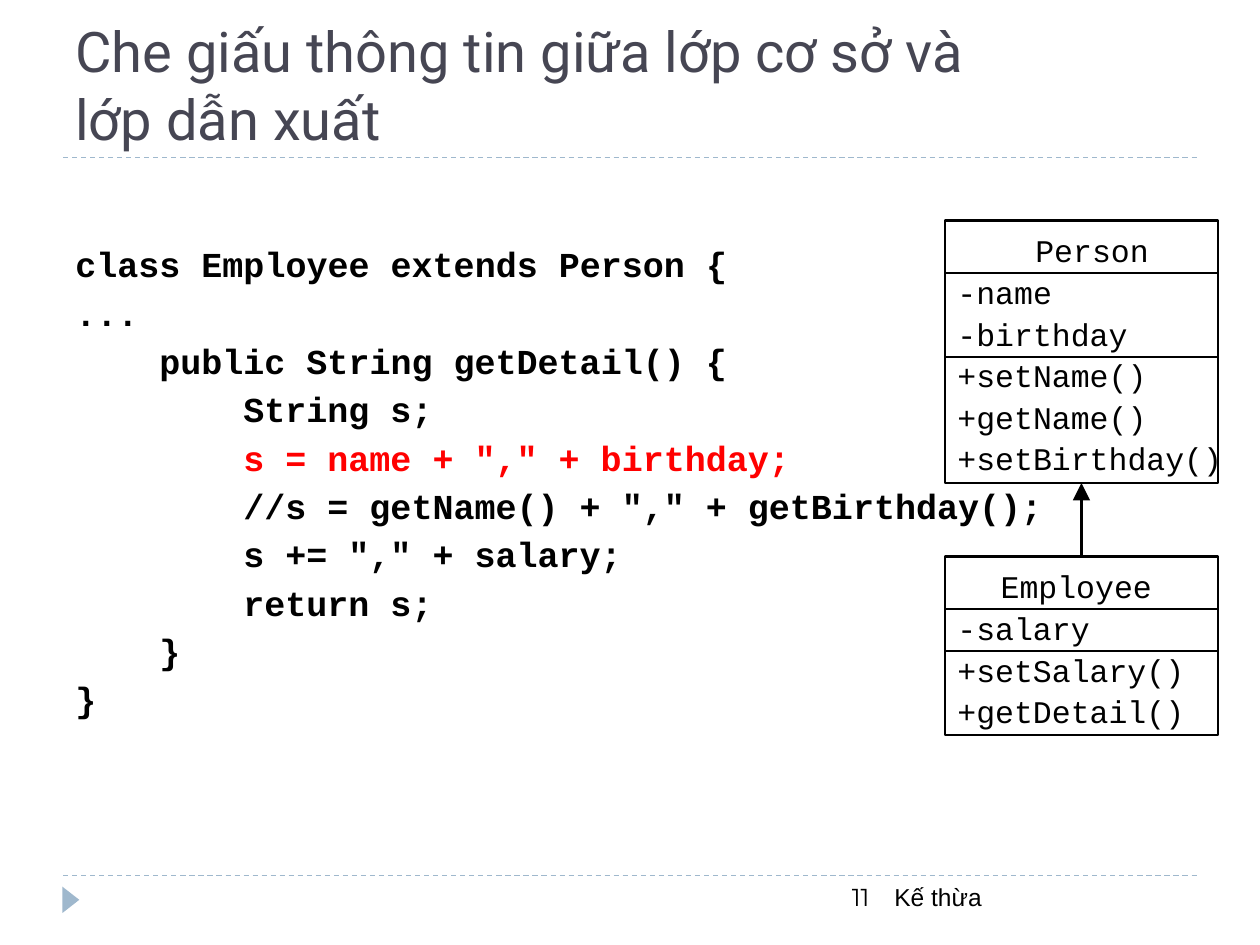
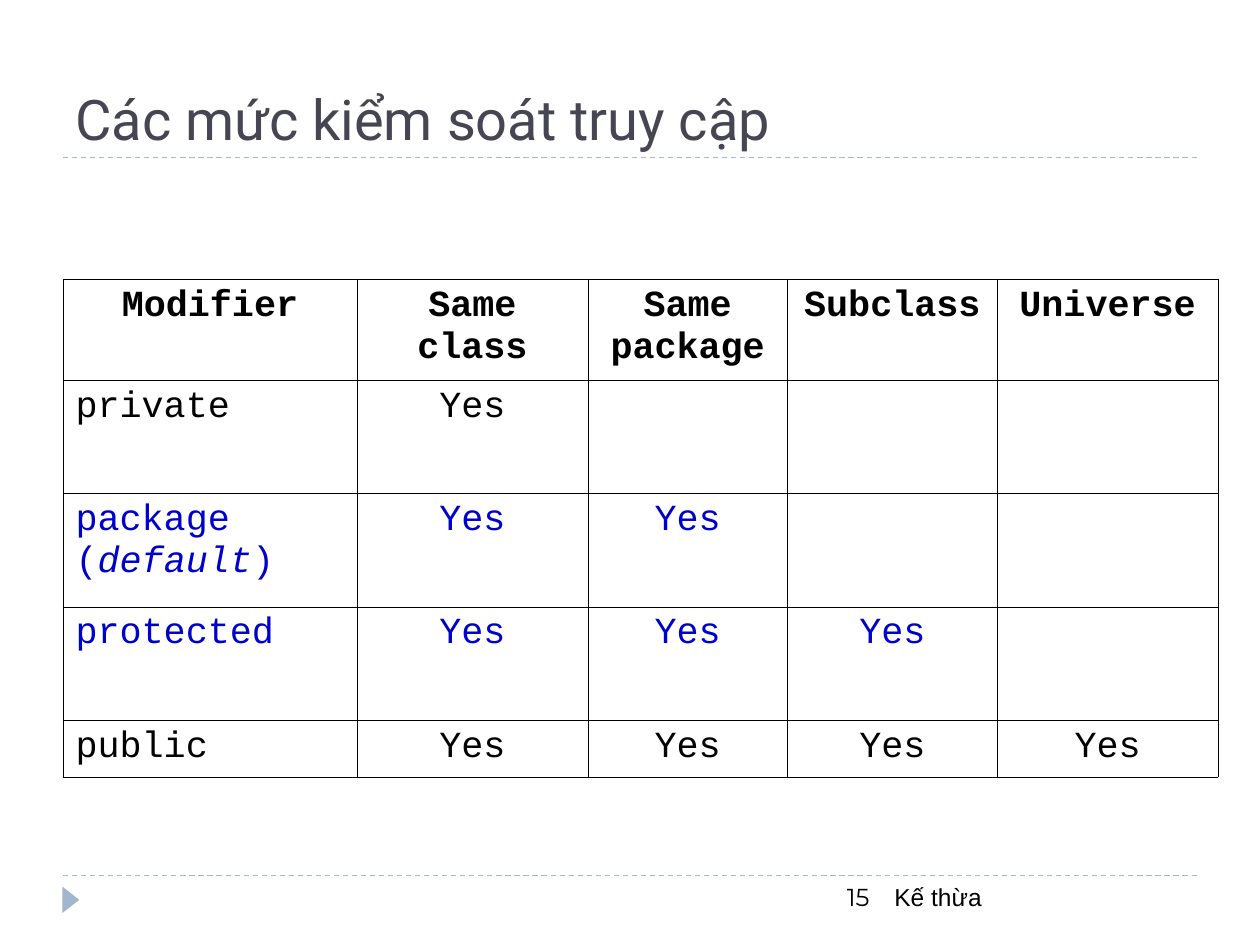
import pptx
import pptx.dml.color
import pptx.enum.dml
import pptx.enum.shapes
import pptx.enum.text
import pptx.oxml
import pptx.oxml.ns
import pptx.util
from dataclasses import dataclass

# Shared grid: 120 columns by 90 rows over a 10 x 7.5 inch slide
WIDTH, HEIGHT = pptx.util.Inches(10), pptx.util.Inches(7.5)
COLS, ROWS = 120, 90
LEFT, CONTENT_COLS = 6, 108

# Shared colours and fonts
BLACK, RED, BLUE = "000000", "FF0000", "0000CC"
TITLE_COLOR, ACCENT = "464653", "9FB8CD"
CODE_FONT, TITLE_FONT = "Courier New", "Roboto"
PAGE_FONT, FOOTER_FONT = "Montserrat", "Arial"

ALIGN = pptx.enum.text.PP_ALIGN
ANCHOR = pptx.enum.text.MSO_ANCHOR
SHAPE = pptx.enum.shapes.MSO_SHAPE


@dataclass
class Box:
    col: float
    row: float
    cols: float
    rows: float

    def emu(self) -> tuple:
        return x(self.col), y(self.row), x(self.cols), y(self.rows)


@dataclass
class CodeLine:
    level: int
    text: str
    color: str = BLACK


@dataclass
class UmlClass:
    name: str
    fields: list
    methods: list
    box: Box
    text_cols: float
    dividers: tuple


@dataclass
class Modifier:
    name: str
    yes_count: int
    color: str = BLACK
    note: str = ""


CODE = [
    CodeLine(0, "class Employee extends Person {"),
    CodeLine(0, "..."),
    CodeLine(1, "public String getDetail() {"),
    CodeLine(2, "String s;"),
    CodeLine(2, 's = name + "," + birthday;', RED),
    CodeLine(2, '//s = getName() + "," + getBirthday();'),
    CodeLine(2, 's += "," + salary;'),
    CodeLine(2, "return s;"),
    CodeLine(1, "}"),
    CodeLine(0, "}"),
]
PERSON = UmlClass("Person", ["-name", "-birthday"],
                  ["+setName()", "+getName()", "+setBirthday()"],
                  Box(90, 21, 26, 25), 28, (26, 34))
EMPLOYEE = UmlClass("Employee", ["-salary"], ["+setSalary()", "+getDetail()"],
                    Box(90, 53, 26, 17), 25, (58, 62))

HEADERS = ["Modifier", "Same class", "Same package", "Subclass", "Universe"]
MODIFIERS = [
    Modifier("private", 1),
    Modifier("package", 2, BLUE, "default"),
    Modifier("protected", 3, BLUE),
    Modifier("public", 4),
]
TABLE_COLS = [28, 22, 19, 20, 21]
TABLE_ROWS = [9.6, 10.8, 10.8, 10.8, 5.4]


# Helpers
def x(cols: float) -> int:
    return round(WIDTH * cols / COLS)


def y(rows: float) -> int:
    return round(HEIGHT * rows / ROWS)


def rgb(color: str) -> pptx.dml.color.RGBColor:
    return pptx.dml.color.RGBColor.from_string(color)


def style(p, font: str, size: float, color: str = BLACK, bold: bool = False,
          align=ALIGN.LEFT) -> None:
    p.alignment = align
    p.font.name, p.font.size, p.font.bold = font, pptx.util.Pt(size), bold
    p.font.color.rgb = rgb(color)


def text_box(slide, box: Box, anchor=ANCHOR.TOP):
    tf = slide.shapes.add_textbox(*box.emu()).text_frame
    tf.word_wrap = True
    tf.vertical_anchor = anchor
    return tf


def label(slide, box: Box, text: str, font: str, size: float, color: str = BLACK,
          align=ALIGN.LEFT, anchor=ANCHOR.TOP) -> None:
    p = text_box(slide, box, anchor).paragraphs[0]
    p.text = text
    style(p, font, size, color, align=align)


def paragraphs(tf, count: int) -> list:
    for _ in range(count - 1):
        tf.add_paragraph()
    return list(tf.paragraphs)


def line(slide, start: tuple, end: tuple, color: str = BLACK, width: float = 1.5):
    sp = slide.shapes.add_connector(pptx.enum.shapes.MSO_CONNECTOR.STRAIGHT,
                                    x(start[0]), y(start[1]), x(end[0]), y(end[1]))
    sp.line.color.rgb = rgb(color)
    sp.line.width = pptx.util.Pt(width)
    sp._element.spPr.append(pptx.oxml.parse_xml(
        f'<a:effectLst {pptx.oxml.ns.nsdecls("a")}/>'))
    return sp


# Slide frame: title, dashed rules, marker and footer
def framed_slide(prs, title: str, title_row: float, page: int):
    slide = prs.slides.add_slide(prs.slide_layouts[6])
    for row in (83.4, 15):
        rule = line(slide, (LEFT, row), (LEFT + CONTENT_COLS, row), ACCENT, 0.75)
        rule.line.dash_style = pptx.enum.dml.MSO_LINE.DASH
    marker = slide.shapes.add_shape(SHAPE.ISOSCELES_TRIANGLE,
                                    *Box(5.5, 84.9, 2.5, 1.6).emu())
    marker.rotation = 90
    marker.shadow.inherit = False
    marker.fill.solid()
    marker.fill.fore_color.rgb = rgb(ACCENT)
    marker.line.fill.background()
    label(slide, Box(84, 83.4, 30, 4.8), "Kế thừa", FOOTER_FONT, 14)
    label(slide, Box(38, 83.4, 46, 4.8), str(page), PAGE_FONT, 14, align=ALIGN.RIGHT)
    label(slide, Box(LEFT, title_row, CONTENT_COLS, 15 - title_row), title,
          TITLE_FONT, 32, TITLE_COLOR, anchor=ANCHOR.BOTTOM)
    return slide


# Slide 1: code listing beside a class diagram
def draw_code(slide) -> None:
    tf = text_box(slide, Box(LEFT, 23, CONTENT_COLS, 50))
    for p, code in zip(paragraphs(tf, len(CODE)), CODE):
        p.text = code.text
        style(p, CODE_FONT, 20, code.color, bold=True)
        p.line_spacing = 0.9
        p.space_before = pptx.util.Pt(6)
        p._p.get_or_add_pPr().set("marL", str(x(8 * code.level)))


def draw_uml(slide, uml: UmlClass):
    box = uml.box
    sp = slide.shapes.add_shape(SHAPE.RECTANGLE, *box.emu())
    sp.shadow.inherit = False
    sp.fill.background()
    sp.line.color.rgb = rgb(BLACK)
    sp.line.width = pptx.util.Pt(1.5)
    for row in uml.dividers:
        line(slide, (box.col, row), (box.col + box.cols, row))
    texts = [uml.name, *uml.fields, *uml.methods]
    tf = text_box(slide, Box(box.col, box.row + 0.1, uml.text_cols, box.rows))
    for i, p in enumerate(paragraphs(tf, len(texts))):
        p.text = texts[i]
        style(p, CODE_FONT, 18, align=ALIGN.LEFT if i else ALIGN.CENTER)
        p.line_spacing = 1.1
    return sp


def draw_inheritance(slide, child, parent) -> None:
    arrow = line(slide, (103, 53), (103, 46))
    arrow.begin_connect(child, 0)
    arrow.end_connect(parent, 2)
    arrow.line._get_or_add_ln().append(pptx.oxml.parse_xml(
        f'<a:tailEnd {pptx.oxml.ns.nsdecls("a")} type="triangle" w="lg" len="lg"/>'))


# Slide 2: access table
def border_cell(cell) -> None:
    tc_pr = cell._tc.get_or_add_tcPr()
    for i, side in enumerate(("lnL", "lnR", "lnT", "lnB")):
        tc_pr.insert(i, pptx.oxml.parse_xml(
            f'<a:{side} {pptx.oxml.ns.nsdecls("a")} w="{pptx.util.Pt(0.45)}">'
            f'<a:solidFill><a:srgbClr val="{BLACK}"/></a:solidFill></a:{side}>'))


def fill_cell(cell, text: str, color: str = BLACK, bold: bool = False,
              align=ALIGN.CENTER, note: str = "") -> None:
    p = cell.text_frame.paragraphs[0]
    style(p, CODE_FONT, 21, color, bold, align)
    if note:
        for part in (f"{text} (", note, ")"):
            r = p.add_run()
            r.text = part
            r.font.italic = part == note
    else:
        p.add_run().text = text


def draw_access_table(slide) -> None:
    box = Box(LEFT, 26.6, sum(TABLE_COLS), sum(TABLE_ROWS))
    table = slide.shapes.add_table(len(TABLE_ROWS), len(TABLE_COLS), *box.emu()).table
    table.first_row = table.horz_banding = False
    for column, cols in zip(table.columns, TABLE_COLS):
        column.width = x(cols)
    for row, rows in zip(table.rows, TABLE_ROWS):
        row.height = y(rows)
    for cell in table.iter_cells():
        cell.fill.background()
        border_cell(cell)
    for c, header in enumerate(HEADERS):
        fill_cell(table.cell(0, c), header, bold=True)
    for r, mod in enumerate(MODIFIERS, start=1):
        fill_cell(table.cell(r, 0), mod.name, mod.color, align=ALIGN.LEFT, note=mod.note)
        for c in range(1, mod.yes_count + 1):
            fill_cell(table.cell(r, c), "Yes", mod.color)


def main() -> None:
    prs = pptx.Presentation()
    prs.slide_width, prs.slide_height = WIDTH, HEIGHT

    slide = framed_slide(prs, "Che giấu thông tin giữa lớp cơ sở và\vlớp dẫn xuất", 4, 11)
    draw_code(slide)
    parent = draw_uml(slide, PERSON)
    child = draw_uml(slide, EMPLOYEE)
    draw_inheritance(slide, child, parent)

    slide = framed_slide(prs, "Các mức kiểm soát truy cập", 2, 15)
    draw_access_table(slide)

    prs.save("out.pptx")


if __name__ == "__main__":
    main()
